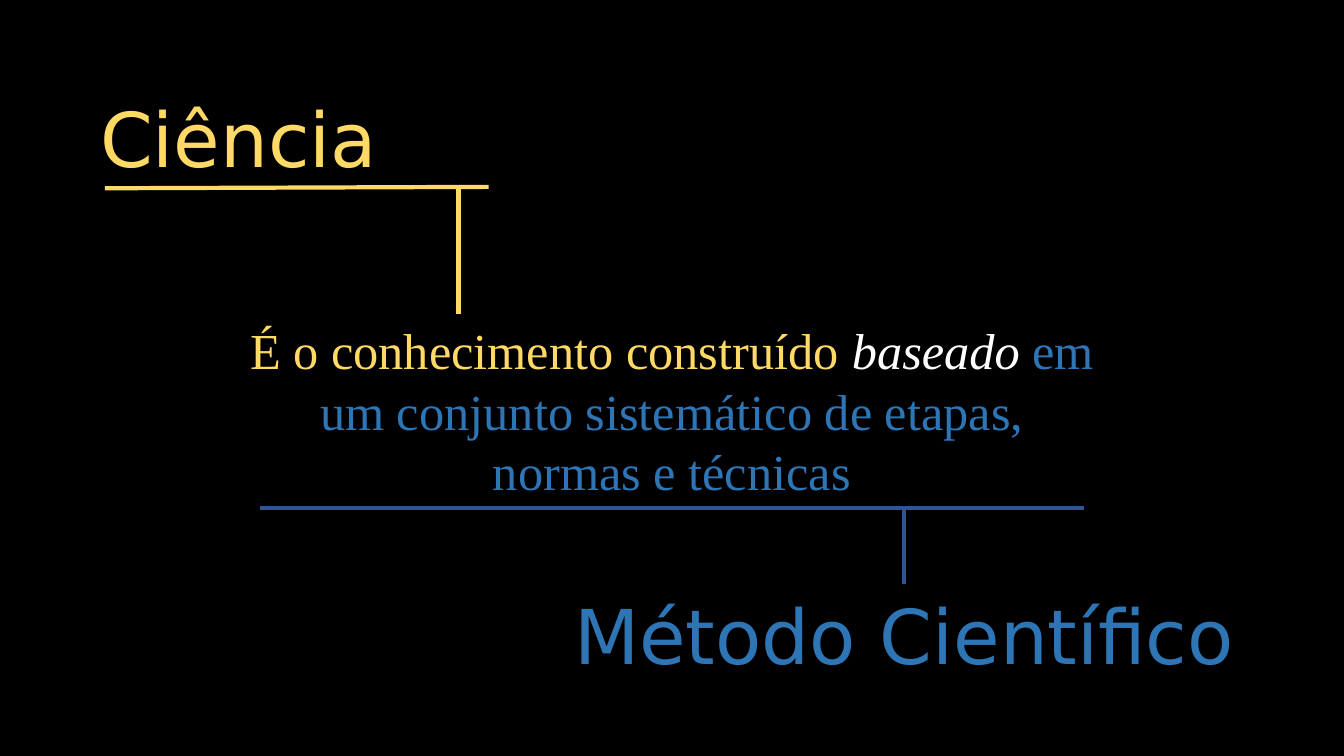
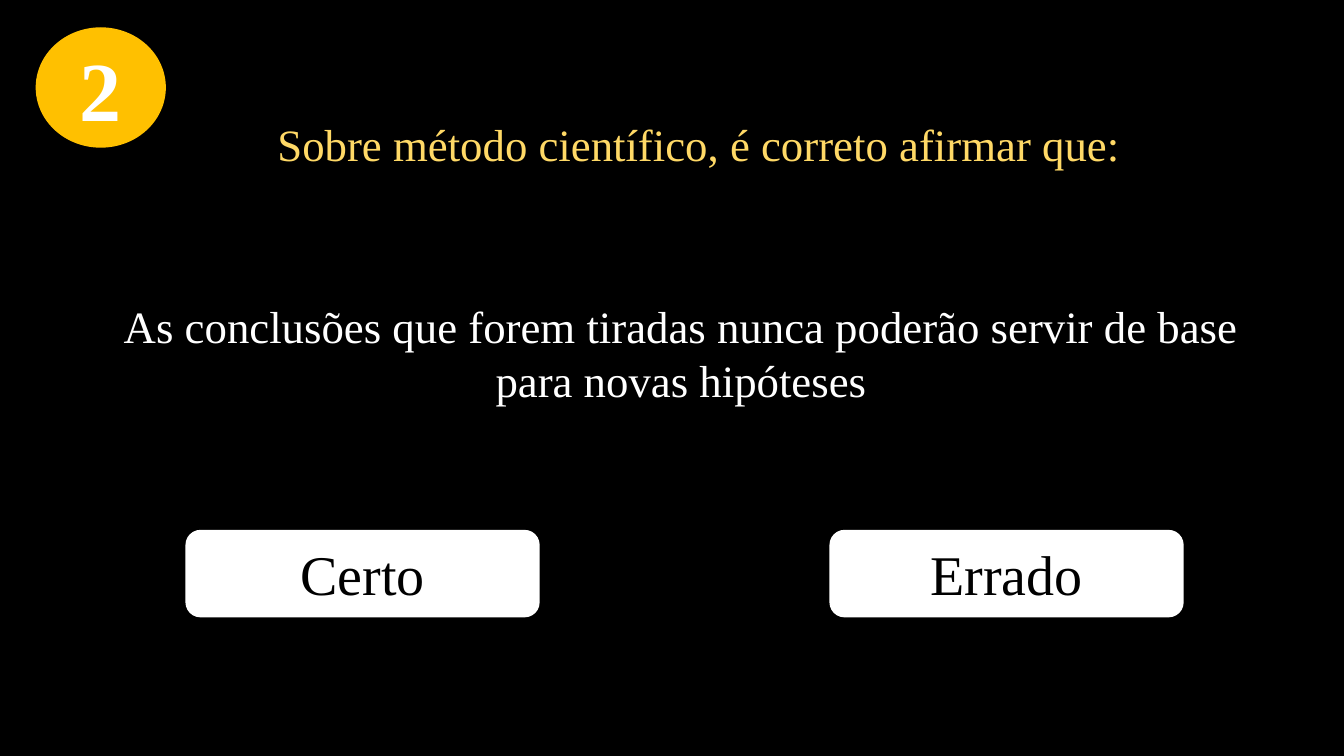
from lxml import etree
from pptx import Presentation
from pptx.dml.color import RGBColor
from pptx.enum.shapes import MSO_CONNECTOR, MSO_SHAPE
from pptx.enum.text import MSO_ANCHOR, PP_ALIGN
from pptx.oxml.ns import qn
from pptx.util import Pt

STRAIGHT = MSO_CONNECTOR.STRAIGHT
OVAL = MSO_SHAPE.OVAL
ROUNDED = MSO_SHAPE.ROUNDED_RECTANGLE
CENTER = PP_ALIGN.CENTER
TOP, MIDDLE = MSO_ANCHOR.TOP, MSO_ANCHOR.MIDDLE

COLORS = {
    "background": "000000",
    "white": "FFFFFF",
    "yellow": "FFD966",
    "amber": "FFC000",
    "blue": "2E75B6",
    "navy": "2F5597",
}
TITLE_FONT = "DejaVu Sans"
BODY_FONT = "Times New Roman"
TITLE_SIZE = 54


def rgb(name):
    return RGBColor.from_string(COLORS[name])


def write(shape, runs, size, font=BODY_FONT, bold=False, anchor=TOP):
    """Fill a shape with one centred paragraph of (text, colour, italic) runs."""
    frame = shape.text_frame
    frame.word_wrap = True
    frame.vertical_anchor = anchor
    paragraph = frame.paragraphs[0]
    paragraph.alignment = CENTER
    paragraph.font.name = font
    paragraph.font.size = Pt(size)
    paragraph.font.bold = bold
    for text, color, italic in runs:
        run = paragraph.add_run()
        run.text = text
        run.font.color.rgb = rgb(color)
        if italic:
            run.font.italic = True


def add_text(slide, box, runs, size, font=BODY_FONT):
    text_box = slide.shapes.add_textbox(*map(Pt, box))
    write(text_box, runs, size, font)
    return text_box


def add_title(slide, box, text, color):
    return add_text(slide, box, [(text, color, False)], TITLE_SIZE, TITLE_FONT)


def add_label(slide, kind, box, text, size, fill, color, bold=False):
    """Add a filled shape with a centred label."""
    shape = slide.shapes.add_shape(kind, *map(Pt, box))
    shape.shadow.inherit = False
    shape.fill.solid()
    shape.fill.fore_color.rgb = rgb(fill)
    shape.line.color.rgb = rgb(fill)
    shape.line.width = Pt(1)
    write(shape, [(text, color, False)], size, bold=bold, anchor=MIDDLE)


def add_line(slide, start, end, color):
    line = slide.shapes.add_connector(STRAIGHT, *map(Pt, (*start, *end)))
    line.line.color.rgb = rgb(color)
    line.line.width = Pt(3)
    etree.SubElement(line._element.spPr, qn("a:effectLst"))
    return line


def add_slide(prs):
    return prs.slides.add_slide(prs.slide_layouts[6])


def build_definition(prs):
    slide = add_slide(prs)
    definition_top, science_rule, method_rule, method_top = 224.5, 134.5, 363, 417
    method_left, method_width = 390, 512
    method_middle = method_left + method_width / 2

    add_text(slide, (170.5, definition_top, 619, 138), [
        ("É o conhecimento construído ", "yellow", False),
        ("baseado ", "white", True),
        ("em um conjunto sistemático de etapas, normas e técnicas", "blue", False),
    ], 36)
    add_title(slide, (44, 62, 253, 73), "Ciência", "yellow")
    method = add_title(slide, (method_left, method_top, method_width, 73),
                       "Método Científico", "blue")

    method_stem = add_line(slide, (method_middle, method_top),
                           (method_middle, method_rule), "navy")
    method_stem.begin_connect(method, 0)
    add_line(slide, (186, method_rule), (774.5, method_rule), "navy")
    add_line(slide, (327.5, definition_top), (327.5, science_rule), "yellow")
    add_line(slide, (75, science_rule), (349, science_rule - 1), "yellow")


def build_question(prs):
    slide = add_slide(prs)
    add_text(slide, (154, 80, 690.5, 46),
             [("Sobre método científico, é correto afirmar que:", "yellow", False)], 32)
    add_text(slide, (55.5, 210, 862, 85),
             [("As conclusões que forem tiradas nunca poderão servir de base "
               "para novas hipóteses", "white", False)], 32)
    for left, answer in ((133, "Certo"), (593, "Errado")):
        add_label(slide, ROUNDED, (left, 379, 252, 61.5), answer, 40,
                  "white", "background")
    add_label(slide, OVAL, (26, 20, 92, 85), "2", 60, "amber", "white", bold=True)


def main():
    prs = Presentation()
    prs.slide_width, prs.slide_height = Pt(960), Pt(540)
    backdrop = prs.slide_master.background.fill
    backdrop.solid()
    backdrop.fore_color.rgb = rgb("background")
    build_definition(prs)
    build_question(prs)
    prs.save("out.pptx")


if __name__ == "__main__":
    main()
